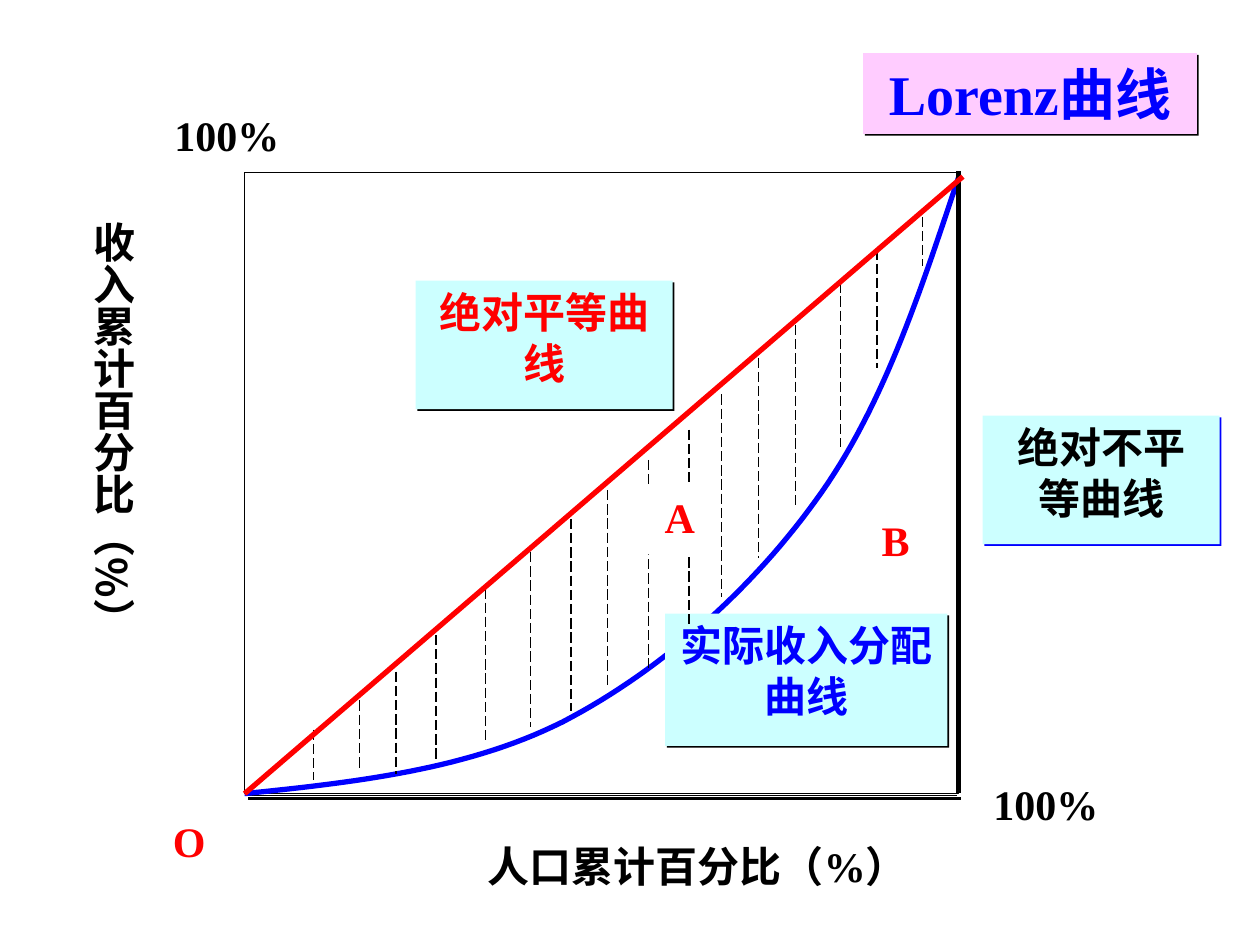
from lxml.etree import SubElement
from pptx import Presentation
from pptx.dml.color import RGBColor
from pptx.enum.dml import MSO_LINE_DASH_STYLE as Dash
from pptx.enum.shapes import MSO_CONNECTOR as Connector, MSO_SHAPE as Shape
from pptx.enum.text import MSO_ANCHOR as Anchor, MSO_AUTO_SIZE as AutoSize, PP_ALIGN as Align
from pptx.oxml.ns import qn
from pptx.util import Cm, Pt

BLACK = RGBColor(0x00, 0x00, 0x00)
WHITE = RGBColor(0xFF, 0xFF, 0xFF)
RED = RGBColor(0xFF, 0x00, 0x00)
BLUE = RGBColor(0x00, 0x00, 0xFF)
CYAN = RGBColor(0xCC, 0xFF, 0xFF)
PINK = RGBColor(0xFF, 0xCC, 0xFF)
LATIN, CHINESE = "Times New Roman", "Noto Sans CJK SC"


def dress(box, text, color, size=24, latin=LATIN, align=Align.CENTER, fill=None, shadow=None):
    """Write the text into a box and give the box its fill and hard offset shadow."""
    if fill is not None:
        box.fill.solid()
        box.fill.fore_color.rgb = fill
        box.line.fill.background()
        box.shadow.inherit = False
    if shadow is not None:
        effects = box._element.spPr.find(qn("a:effectLst"))
        outer = SubElement(effects, qn("a:outerShdw"), blurRad="0", dist="17961",
                           dir="2700000", algn="ctr", rotWithShape="0")
        SubElement(outer, qn("a:srgbClr"), val=str(shadow))
    frame = box.text_frame
    for name, value in {"word_wrap": True, "auto_size": AutoSize.NONE,
                        "vertical_anchor": Anchor.TOP, "text": text}.items():
        setattr(frame, name, value)
    for para in frame.paragraphs:
        para.alignment = align
        for span in para.runs:
            for name, value in {"size": Pt(size), "bold": True, "name": latin}.items():
                setattr(span.font, name, value)
            span.font.color.rgb = color
            SubElement(span._r.get_or_add_rPr(), qn("a:ea"), typeface=CHINESE)


def draw_line(x1, y1, x2, y2, color=BLACK, width=0.75, dash=None):
    line = page.shapes.add_connector(Connector.STRAIGHT, Cm(x1), Cm(y1), Cm(x2), Cm(y2))
    line.line.color.rgb = color
    line.line.width = Pt(width)
    if dash is not None:
        line.line.dash_style = dash
    SubElement(line._element.spPr, qn("a:effectLst"))


deck = Presentation()
deck.slide_width, deck.slide_height = Cm(25.4), Cm(19.05)
page = deck.slides.add_slide(deck.slide_layouts[5])

title = page.shapes.title
title.left, title.top, title.width, title.height = Cm(17.4), Cm(1.07), Cm(6.73), Cm(1.63)
dress(title, "Lorenz曲线", BLUE, size=32, fill=PINK, shadow=BLACK)
title.text_frame.vertical_anchor = Anchor.MIDDLE

# Plot frame
plot = page.shapes.add_shape(Shape.RECTANGLE, Cm(4.93), Cm(3.48), Cm(14.4), Cm(12.52))
plot.shadow.inherit = False
plot.fill.solid()
plot.fill.fore_color.rgb = WHITE
plot.line.color.rgb = BLACK
plot.line.width = Pt(0.75)
draw_line(4.95, 16.03, 19.3, 16.03)

# Lorenz curve: three joined cubic Bezier segments, sampled finely
KNOTS = [(4.93, 16), (7.16, 15.77), (9.42, 15.52), (11.35, 14.55), (13.26, 13.56),
         (15.11, 11.94), (16.43, 10.11), (17.78, 8.28), (18.54, 5.92), (19.33, 3.56)]
STEPS = 30
points = []
for first in (0, 3, 6):
    for step in range(1, STEPS + 1):
        t = step / STEPS
        weights = ((1 - t) ** 3, 3 * t * (1 - t) ** 2, 3 * t * t * (1 - t), t ** 3)
        points.append([Cm(sum(w * knot[axis] for w, knot in zip(weights, KNOTS[first:first + 4])))
                       for axis in (0, 1)])
builder = page.shapes.build_freeform(Cm(KNOTS[0][0]), Cm(KNOTS[0][1]))
builder.add_line_segments(points, close=False)
curve = builder.convert_to_shape()
curve.shadow.inherit = False
curve.fill.background()
curve.line.color.rgb = BLUE
curve.line.width = Pt(3)

# Curve names: left, top, width, height, text, text colour, shadow colour
for left, top, width, height, text, color, shadow in [
    (8.38, 5.66, 5.18, 2.59, "绝对平等曲线", RED, BLACK),
    (19.81, 8.38, 4.78, 2.59, "绝对不平\n等曲线", BLACK, BLUE),
    (13.41, 12.37, 5.69, 2.67, "实际收入分配曲线", BLUE, BLACK),
]:
    box = page.shapes.add_shape(Shape.RECTANGLE, Cm(left), Cm(top), Cm(width), Cm(height))
    dress(box, text, color, fill=CYAN, shadow=shadow)

# Absolute inequality: right side and base
draw_line(19.33, 3.45, 19.33, 15.98, width=3)
draw_line(5, 16.1, 19.38, 16.1, width=1.5)

# Hatching of area A: x, top, bottom
for x, top, bottom in [
    (6.32, 14.71, 15.72), (7.24, 14.12, 15.52), (7.98, 13.54, 15.6), (8.79, 12.8, 15.32),
    (9.78, 11.86, 14.91), (10.69, 11.13, 14.66), (11.51, 10.46, 14.33), (12.24, 9.88, 13.84),
    (13.08, 9.27, 13.46), (13.89, 8.66, 12.65), (14.55, 7.95, 12.04), (15.29, 7.21, 11.25),
    (16.03, 6.55, 10.21), (16.94, 5.69, 9.02), (17.68, 5.03, 7.42), (18.59, 4.37, 5.36),
]:
    draw_line(x, top, x, bottom, dash=Dash.LONG_DASH)

area_a = page.shapes.add_shape(Shape.RECTANGLE, Cm(12.93), Cm(9.78), Cm(1.55), Cm(1.4))
dress(area_a, "A", RED, fill=WHITE)

# Plain labels
for left, top, width, height, text, color in [
    (17.37, 10.24, 1.37, 1.37, "B", RED),
    (8.84, 16.81, 10.46, 1.5, "人口累计百分比（%）", BLACK),
    (2.29, 16.31, 3.05, 1.73, "O", RED),
    (19.56, 15.57, 3.05, 1.73, "100%", BLACK),
    (3.05, 2.08, 3.05, 1.73, "100%", BLACK),
]:
    box = page.shapes.add_textbox(Cm(left), Cm(top), Cm(width), Cm(height))
    dress(box, text, color)

income = page.shapes.add_textbox(Cm(1.4), Cm(4.22), Cm(1.52), Cm(10.52))
dress(income, "收入累计百分比（%）", BLACK, latin=CHINESE, align=Align.LEFT)
frame = income.text_frame
for name, value in {"margin_left": 0.13, "margin_right": 0.13,
                    "margin_top": 0.25, "margin_bottom": 0.25}.items():
    setattr(frame, name, Cm(value))
frame._txBody.bodyPr.set("vert", "eaVert")
# The column of text starts below the upper edge of the plot
income.top = Cm(4.22)

# Absolute equality
draw_line(4.93, 16, 19.41, 3.56, color=RED, width=3)

deck.save("out.pptx")
